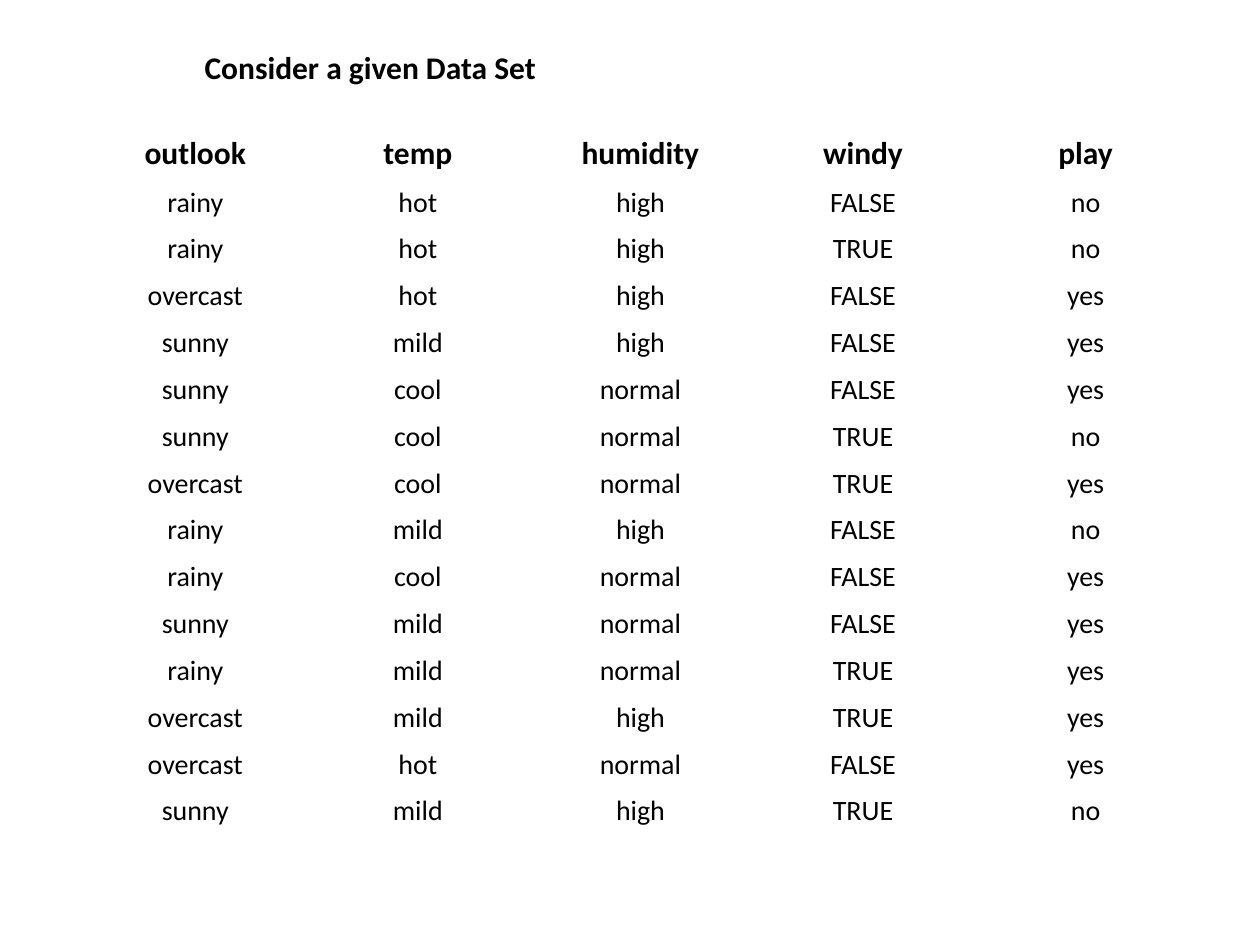
import pptx
import pptx.util
import pptx.dml.color
import pptx.enum.text

TITLE = "Consider a given Data Set"
HEAD = ("outlook", "temp", "humidity", "windy", "play")
DAYS = [
    ("rainy", "hot", "high", "FALSE", "no"),
    ("rainy", "hot", "high", "TRUE", "no"),
    ("overcast", "hot", "high", "FALSE", "yes"),
    ("sunny", "mild", "high", "FALSE", "yes"),
    ("sunny", "cool", "normal", "FALSE", "yes"),
    ("sunny", "cool", "normal", "TRUE", "no"),
    ("overcast", "cool", "normal", "TRUE", "yes"),
    ("rainy", "mild", "high", "FALSE", "no"),
    ("rainy", "cool", "normal", "FALSE", "yes"),
    ("sunny", "mild", "normal", "FALSE", "yes"),
    ("rainy", "mild", "normal", "TRUE", "yes"),
    ("overcast", "mild", "high", "TRUE", "yes"),
    ("overcast", "hot", "normal", "FALSE", "yes"),
    ("sunny", "mild", "high", "TRUE", "no"),
]
GRID_BOX = (84, 126, 1113, 703)
TITLE_BOX = (192, 42, 703, 89)
FONT, INK = "Calibri", "000000"
ALIGN = pptx.enum.text.PP_ALIGN
ANCHOR = pptx.enum.text.MSO_ANCHOR


def px(n):
    """Turn picture pixels into EMU."""
    return pptx.util.Emu(round(n * 914400 / 126))


def color(code):
    """Turn a hex string into a colour."""
    return pptx.dml.color.RGBColor.from_string(code)


def write(frame, text, size, bold, align):
    """Fill a text frame with one formatted paragraph."""
    frame.text = text
    para = frame.paragraphs[0]
    para.alignment = align
    font = para.runs[0].font
    font.name, font.size, font.bold = FONT, pptx.util.Pt(size), bold
    font.color.rgb = color(INK)


def add_title(slide):
    """Place and format the title."""
    title = slide.shapes.title
    title.left, title.top, title.width, title.height = map(px, TITLE_BOX)
    frame = title.text_frame
    write(frame, TITLE, 18, True, ALIGN.LEFT)
    frame.word_wrap = True
    frame.auto_size = pptx.enum.text.MSO_AUTO_SIZE.NONE
    frame.vertical_anchor = ANCHOR.TOP


def add_grid(slide):
    """Add the plain table with a bold head row."""
    rows = [HEAD] + DAYS
    grid = slide.shapes.add_table(
        len(rows), len(HEAD), *map(px, GRID_BOX)).table
    grid.first_row = grid.horz_banding = False
    for col in grid.columns:
        col.width = px(GRID_BOX[2] / len(HEAD))
    for r, row in enumerate(rows):
        grid.rows[r].height = px(GRID_BOX[3] / len(rows))
        for c, text in enumerate(row):
            cell = grid.cell(r, c)
            cell.fill.background()
            cell.margin_left = cell.margin_right = cell.margin_top = px(1)
            cell.margin_bottom = 0
            cell.vertical_anchor = ANCHOR.BOTTOM
            write(cell.text_frame, text, 16 if r else 18, r == 0, ALIGN.CENTER)


deck = pptx.Presentation()
deck.slide_width, deck.slide_height = px(1260), px(945)
page = deck.slides.add_slide(deck.slide_layouts[5])
add_grid(page)
add_title(page)
deck.save("out.pptx")
